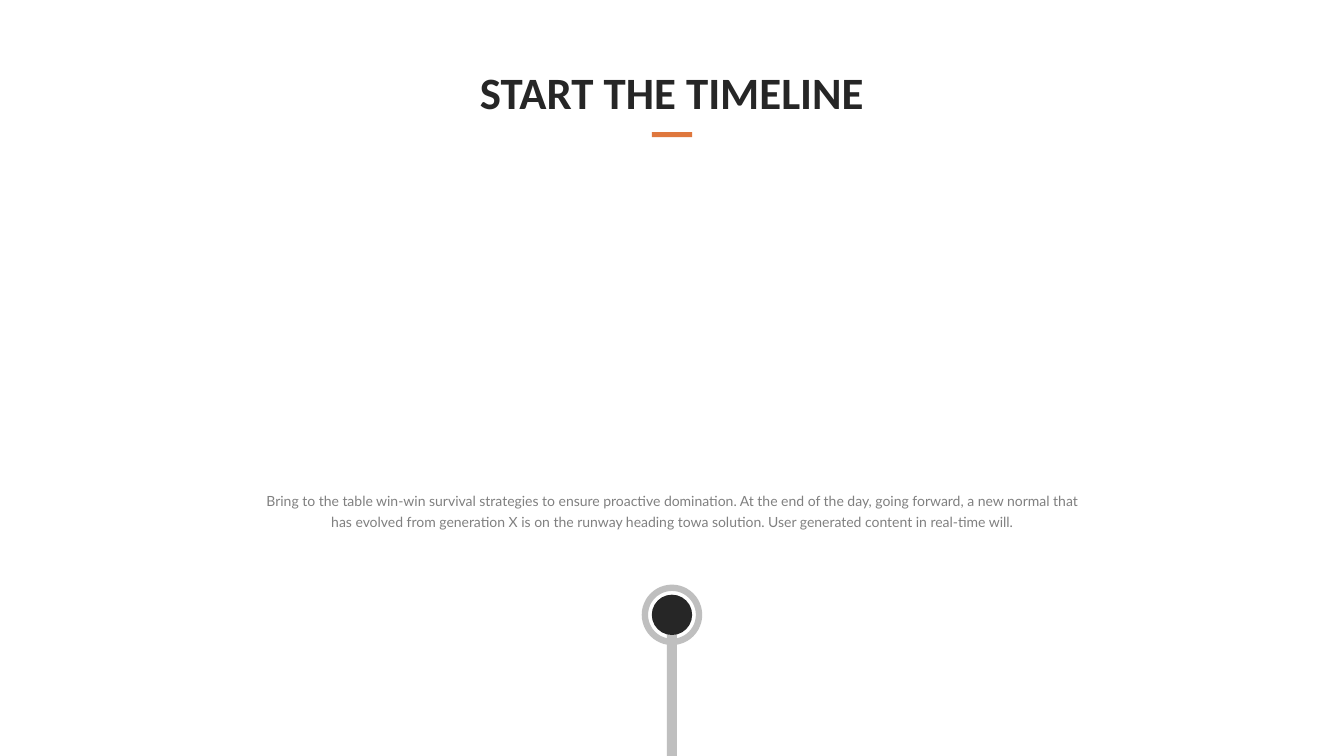
from pptx import Presentation
from pptx.dml.color import RGBColor
from pptx.enum.shapes import MSO_SHAPE
from pptx.enum.text import MSO_ANCHOR, PP_ALIGN
from pptx.util import Inches, Pt

TITLE = "START THE TIMELINE"
SUMMARY = (
    "Bring to the table win-win survival strategies to ensure proactive domination. "
    "At the end of the day, going forward, a new normal that has evolved from "
    "generation X is on the runway heading towa solution. "
    "User generated content in real-time will."
)

DARK = RGBColor(0x26, 0x26, 0x26)
GRAY = RGBColor(0x80, 0x80, 0x80)
SILVER = RGBColor(0xBF, 0xBF, 0xBF)
ORANGE = RGBColor(0xDF, 0x77, 0x3D)

WIDTH, HEIGHT = 13.33, 7.5
NODE_MIDDLE = 6.1
DOT_SIZE, RING_SIZE = 0.4, 0.6
STEM_TOP = 6.14


def centered(top, width, height):
    return [Inches(value) for value in ((WIDTH - width) / 2, top, width, height)]


def add_text(page, text, *, top, width, height, font, size, color, spacing,
             bold=False, anchor=MSO_ANCHOR.TOP):
    box = page.shapes.add_textbox(*centered(top, width, height))
    frame = box.text_frame
    frame.word_wrap = True
    frame.vertical_anchor = anchor
    frame.margin_left = frame.margin_right = 0
    frame.margin_top = frame.margin_bottom = 0
    para = frame.paragraphs[0]
    para.alignment = PP_ALIGN.CENTER
    para.line_spacing = Pt(spacing)
    span = para.add_run()
    span.text = text
    span.font.name = font
    span.font.size = Pt(size)
    span.font.bold = bold
    span.font.color.rgb = color


def add_figure(page, kind, color, top, width, height):
    shape = page.shapes.add_shape(kind, *centered(top, width, height))
    shape.shadow.inherit = False
    shape.fill.solid()
    shape.fill.fore_color.rgb = color
    shape.line.fill.background()
    return shape


def add_disc(page, kind, color, size):
    return add_figure(page, kind, color, NODE_MIDDLE - size / 2, size, size)


def main():
    deck = Presentation()
    deck.slide_width, deck.slide_height = Inches(WIDTH), Inches(HEIGHT)
    page = deck.slides.add_slide(deck.slide_layouts[6])

    add_text(page, SUMMARY, top=4.84, width=8.13, height=0.4,
             font="Lato", size=10, color=GRAY, spacing=15)

    add_figure(page, MSO_SHAPE.RECTANGLE, SILVER, STEM_TOP, 0.1, HEIGHT - STEM_TOP)
    add_disc(page, MSO_SHAPE.OVAL, DARK, DOT_SIZE)
    ring = add_disc(page, MSO_SHAPE.DONUT, SILVER, RING_SIZE)
    ring.adjustments[0] = 0.105

    add_text(page, TITLE, top=0.69, width=4.96, height=0.49, font="Calibri",
             size=32, color=DARK, spacing=35, bold=True, anchor=MSO_ANCHOR.MIDDLE)
    add_figure(page, MSO_SHAPE.RECTANGLE, ORANGE, 1.31, DOT_SIZE, 0.05)

    deck.save("out.pptx")


if __name__ == "__main__":
    main()
